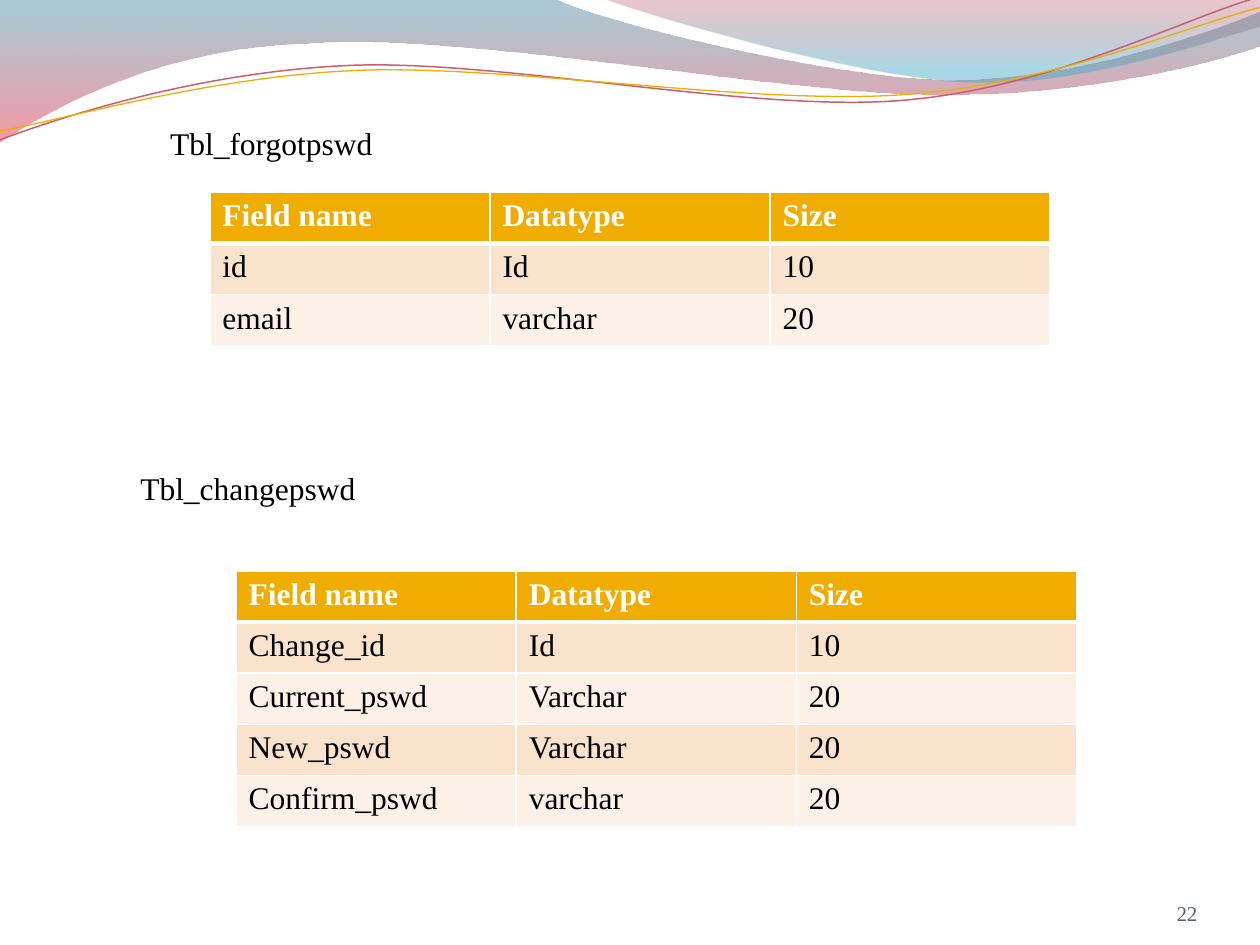
from math import cos, radians, sin

from lxml import etree
from pptx import Presentation
from pptx.dml.color import RGBColor
from pptx.enum.text import MSO_ANCHOR, PP_ALIGN
from pptx.oxml.ns import qn
from pptx.util import Cm, Pt

RIGHT, LEFT = PP_ALIGN.RIGHT, PP_ALIGN.LEFT
TOP, BOTTOM = MSO_ANCHOR.TOP, MSO_ANCHOR.BOTTOM

COLORS = {
    "white": "FFFFFF", "black": "000000", "gold": "F0AD00", "rose": "CB5F6E",
    "band_dark": "F9E3CC", "band_light": "FCF1E7", "slate": "565F73",
    "teal": "3F8A9F", "coral": "EF445B", "crimson": "B84253", "aqua": "42ABC7",
}
FONT = "Times New Roman"

WAVES = [
    {"start": (0, 0),
     "segments": [[(11.18, -0.03)],
                  [(12.09, 0.43), (16.87, 1.6), (19.25, 1.6)],
                  [(21.67, 1.6), (24.33, 0.66), (25.4, 0.23)],
                  [(25.43, 0.91)],
                  [(24.97, 1.12), (22.1, 1.93), (18.95, 1.91)],
                  [(15.8, 1.91), (9.7, 0.71), (6.53, 0.86)],
                  [(3.28, 0.91), (1.17, 2.11), (-0.03, 2.87)],
                  [(0, 0)]],
     "gradient": [(0, "teal", 45), (1, "coral", 55)]},
    {"start": (12.17, -0.03),
     "segments": [[(12.93, 0.28), (17.32, 1.57), (19.53, 1.65)],
                  [(21.74, 1.75), (24.41, 0.81), (25.4, 0.53)],
                  [(25.4, 0)],
                  [(12.17, -0.03)]],
     "gradient": [(0, "crimson", 30), (0.8, "aqua", 45)]},
    {"start": (0, 2.82),
     "segments": [[(1.22, 2.36), (4.01, 1.45), (7.04, 1.32)],
                  [(10.03, 1.19), (15.06, 2.26), (18.11, 2.03)],
                  [(21.16, 1.8), (23.83, 0.38), (25.35, -0.05)]],
     "line": ("rose", 0.85), "center": (12.68, 1.46), "rotation": -2.7},
    {"start": (0, 2.64),
     "segments": [[(1.19, 2.44), (4.17, 1.55), (7.19, 1.42)],
                  [(10.24, 1.3), (15.16, 2.13), (18.21, 1.91)],
                  [(21.23, 1.7), (23.9, 0.53), (25.4, 0.15)]],
     "line": ("gold", 0.75), "center": (12.69, 1.5), "rotation": -2.7},
]

HEADER = ("Field name", "Datatype", "Size")
TABLES = [
    {"at": (4.23, 3.88), "rows": [HEADER, ("id", "Id", "10"), ("email", "varchar", "20")]},
    {"at": (4.76, 11.51), "rows": [HEADER, ("Change_id", "Id", "10"),
                                   ("Current_pswd", "Varchar", "20"),
                                   ("New_pswd", "Varchar", "20"),
                                   ("Confirm_pswd", "varchar", "20")]},
]
TABLE_WIDTH, ROW_HEIGHT = 16.94, 1.03

PAGE_FRAME = {"word_wrap": True, "vertical_anchor": BOTTOM, "margin_left": 0,
              "margin_right": 0, "margin_top": 0, "margin_bottom": 0}
LABEL_FRAME = {"word_wrap": False, "vertical_anchor": TOP}
TEXTS = [
    ("22", (22.02, 17.65, 2.12, 1.02), 12, "slate", RIGHT, PAGE_FRAME),
    ("Tbl_forgotpswd", (3.18, 2.37, 4.62, 1.03), 18, "black", LEFT, LABEL_FRAME),
    ("Tbl_changepswd", (2.58, 9.34, 4.9, 1.03), 18, "black", LEFT, LABEL_FRAME),
]


def rgb(name):
    return RGBColor.from_string(COLORS[name])


def set_attributes(target, values):
    for name, value in values.items():
        setattr(target, name, value)


def write_text(paragraph, text, size, color, bold=False):
    run = paragraph.add_run()
    run.text = text
    set_attributes(run.font, {"name": FONT, "size": Pt(size), "bold": bold})
    run.font.color.rgb = rgb(color)


def turn(point, center, degrees):
    angle = radians(degrees)
    x, y = point[0] - center[0], point[1] - center[1]
    return (center[0] + x * cos(angle) - y * sin(angle),
            center[1] + x * sin(angle) + y * cos(angle))


def bend_segments(shape, segments):
    outline = next(shape._element.iter(qn("a:path")))
    corners = iter(outline.findall(qn("a:lnTo")))
    for segment in segments:
        first, *others = [next(corners) for _ in segment]
        if others:
            first.tag = qn("a:cubicBezTo")
            for corner in others:
                first.append(corner[0])
                outline.remove(corner)


def add_wave(slide, wave):
    segments = wave["segments"]
    rotation = wave.get("rotation", 0)
    points = [wave["start"], *(point for segment in segments for point in segment)]
    points = [turn(point, wave.get("center", (0, 0)), -rotation) for point in points]
    points = [(Cm(x), Cm(y)) for x, y in points]
    builder = slide.shapes.build_freeform(*points[0])
    builder.add_line_segments(points[1:], close="gradient" in wave)
    shape = builder.convert_to_shape()
    bend_segments(shape, segments)
    shape.rotation = rotation
    shape.shadow.inherit = False
    if "line" in wave:
        color, width = wave["line"]
        shape.fill.background()
        shape.line.color.rgb = rgb(color)
        shape.line.width = Pt(width)
        return
    shape.line.fill.background()
    shape.fill.gradient()
    shape.fill.gradient_angle = 270
    for stop, (position, color, _) in zip(shape.fill.gradient_stops, wave["gradient"]):
        stop.position = position
        stop.color.rgb = rgb(color)
    color_elements = list(shape._element.spPr.iter(qn("a:srgbClr")))
    for element, (_, _, opacity) in zip(color_elements, wave["gradient"]):
        etree.SubElement(element, qn("a:alpha"), val=str(opacity * 1000))


def add_borders(cell, widths):
    properties = cell._tc.get_or_add_tcPr()
    for index, (side, width) in enumerate(widths.items()):
        border = etree.Element(qn(f"a:ln{side}"), w=str(Pt(width)))
        fill = etree.SubElement(border, qn("a:solidFill"))
        etree.SubElement(fill, qn("a:srgbClr"), val=COLORS["white"])
        properties.insert(index, border)


def add_field_table(slide, at, rows):
    left, top = at
    frame = slide.shapes.add_table(
        len(rows), len(HEADER), Cm(left), Cm(top),
        Cm(TABLE_WIDTH), Cm(ROW_HEIGHT * len(rows)))
    table = frame.table
    for row_index, values in enumerate(rows):
        is_header = row_index == 0
        band = "gold" if is_header else ("band_light", "band_dark")[row_index % 2]
        for column_index, text in enumerate(values):
            cell = table.cell(row_index, column_index)
            cell.fill.solid()
            cell.fill.fore_color.rgb = rgb(band)
            add_borders(cell, {"L": 1, "R": 1, "T": 3 if row_index == 1 else 1,
                               "B": 3 if is_header else 1})
            write_text(cell.text_frame.paragraphs[0], text, 18,
                       "white" if is_header else "black", is_header)


def add_label(slide, text, box, size, color, alignment, frame_values):
    text_frame = slide.shapes.add_textbox(*map(Cm, box)).text_frame
    set_attributes(text_frame, frame_values)
    paragraph = text_frame.paragraphs[0]
    paragraph.alignment = alignment
    write_text(paragraph, text, size, color)


def main():
    presentation = Presentation()
    set_attributes(presentation, {"slide_width": Cm(25.4), "slide_height": Cm(19.05)})
    slide = presentation.slides.add_slide(presentation.slide_layouts[6])
    for wave in WAVES:
        add_wave(slide, wave)
    for table in TABLES:
        add_field_table(slide, **table)
    for label in TEXTS:
        add_label(slide, *label)
    presentation.save("out.pptx")


if __name__ == "__main__":
    main()
